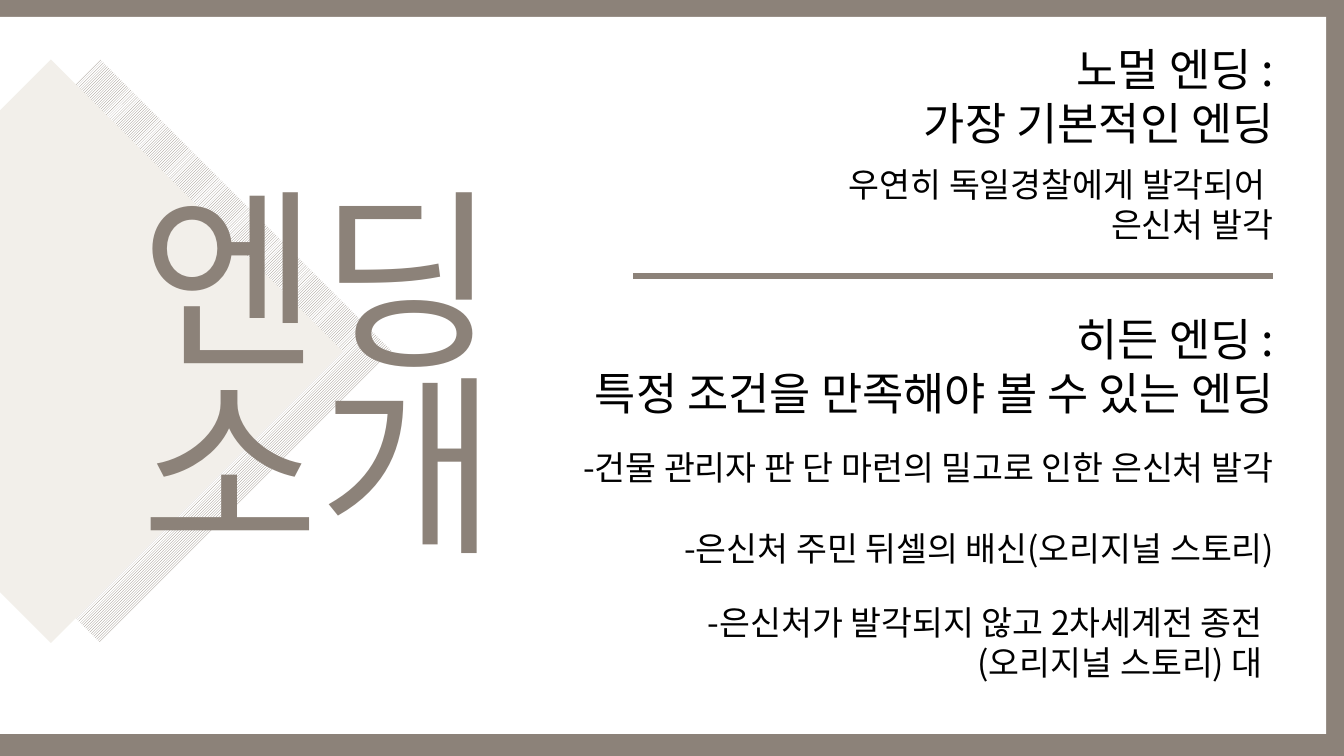
from lxml.etree import SubElement
from pptx import Presentation
from pptx.dml.color import RGBColor
from pptx.enum.dml import MSO_PATTERN
from pptx.enum.shapes import MSO_CONNECTOR, MSO_SHAPE
from pptx.enum.text import MSO_ANCHOR, MSO_AUTO_SIZE, PP_ALIGN
from pptx.oxml.ns import qn
from pptx.util import Pt

SCALE = 9525
FONT = "Noto Sans CJK KR"
COLORS = {"taupe": "8C8279", "cream": "F2EFEA", "white": "FFFFFF", "black": "000000"}
HEADING = {"size": 32, "spacing": 38.4}
DETAIL = {"size": 24, "spacing": 28.8}
ENDINGS = [
    ((496, 33, 727, 152), ["노멀 엔딩 :", "가장 기본적인 엔딩"], HEADING),
    ((475, 290, 748, 113), ["히든 엔딩 :", "특정 조건을 만족해야 볼 수 있는 엔딩"], HEADING),
    ((326, 149, 896, 87), ["우연히 독일경찰에게 발각되어 ", "은신처 발각"], DETAIL),
    ((516, 419, 706, 78), ["-건물 관리자 판 단 마런의 밀고로 인한 은신처 발각"], DETAIL),
    ((594, 496, 629, 48), ["-은신처 주민 뒤셀의 배신(오리지널 스토리)"], DETAIL),
    ((425, 566, 787, 87), ["-은신처가 발각되지 않고 2차세계전 종전", "(오리지널 스토리) 대"], DETAIL),
]


def px(value):
    return value * SCALE


def color(name):
    return RGBColor.from_string(COLORS[name])


def add_rectangle(shapes, area, fill, rotation=0, hatch=None):
    box = shapes.add_shape(MSO_SHAPE.RECTANGLE, *map(px, area))
    box.rotation = rotation
    box.shadow.inherit = False
    box.line.fill.background()
    if hatch:
        box.fill.patterned()
        box.fill.pattern = MSO_PATTERN.LIGHT_UPWARD_DIAGONAL
        box.fill.fore_color.rgb = color(hatch)
        box.fill.back_color.rgb = color(fill)
    else:
        box.fill.solid()
        box.fill.fore_color.rgb = color(fill)


def write_text(box, lines, size, spacing, ink="black", align=PP_ALIGN.RIGHT, inset=7):
    frame = box.text_frame
    frame.word_wrap = True
    frame.auto_size = MSO_AUTO_SIZE.NONE
    frame.vertical_anchor = MSO_ANCHOR.TOP
    frame.margin_top = px(inset)
    for index, line in enumerate(lines):
        para = frame.add_paragraph() if index else frame.paragraphs[0]
        para.alignment = align
        para.line_spacing = Pt(spacing)
        para.space_before = Pt(0)
        span = para.add_run()
        span.text = line
        span.font.size = Pt(size)
        span.font.color.rgb = color(ink)
        span.font.name = FONT
        SubElement(span.font._element, qn("a:ea"), typeface=FONT)


def add_title(page, area, lines, **style):
    title = page.shapes.title
    title.left, title.top, title.width, title.height = map(px, area)
    write_text(title, lines, **style)
    title._element.getparent().append(title._element)


def add_rule(page, left, right, top):
    rule = page.shapes.add_connector(
        MSO_CONNECTOR.STRAIGHT, px(left), px(top), px(right), px(top)
    )
    rule.line.color.rgb = color("taupe")
    rule.line.width = Pt(4.25)
    SubElement(rule._element.spPr, qn("a:effectLst"))


def main():
    deck = Presentation()
    deck.slide_width, deck.slide_height = px(1280), px(720)
    page = deck.slides.add_slide(deck.slide_layouts[5])
    page.background.fill.solid()
    page.background.fill.fore_color.rgb = color("taupe")
    add_rectangle(page.shapes, (0, 16, 1263, 683), "white")
    diamonds = page.shapes.add_group_shape().shapes
    add_rectangle(diamonds, (-101, 138, 393, 393), "white", rotation=45, hatch="taupe")
    add_rectangle(diamonds, (-148, 138, 393, 393), "cream", rotation=45)
    add_title(page, (125, 175, 404, 367), ["엔딩", "소개"], size=138, spacing=133,
              ink="taupe", align=PP_ALIGN.LEFT, inset=20)
    for area, lines, style in ENDINGS:
        write_text(page.shapes.add_textbox(*map(px, area)), lines, **style)
    add_rule(page, 603, 1212, 263)
    deck.save("out.pptx")


if __name__ == "__main__":
    main()
